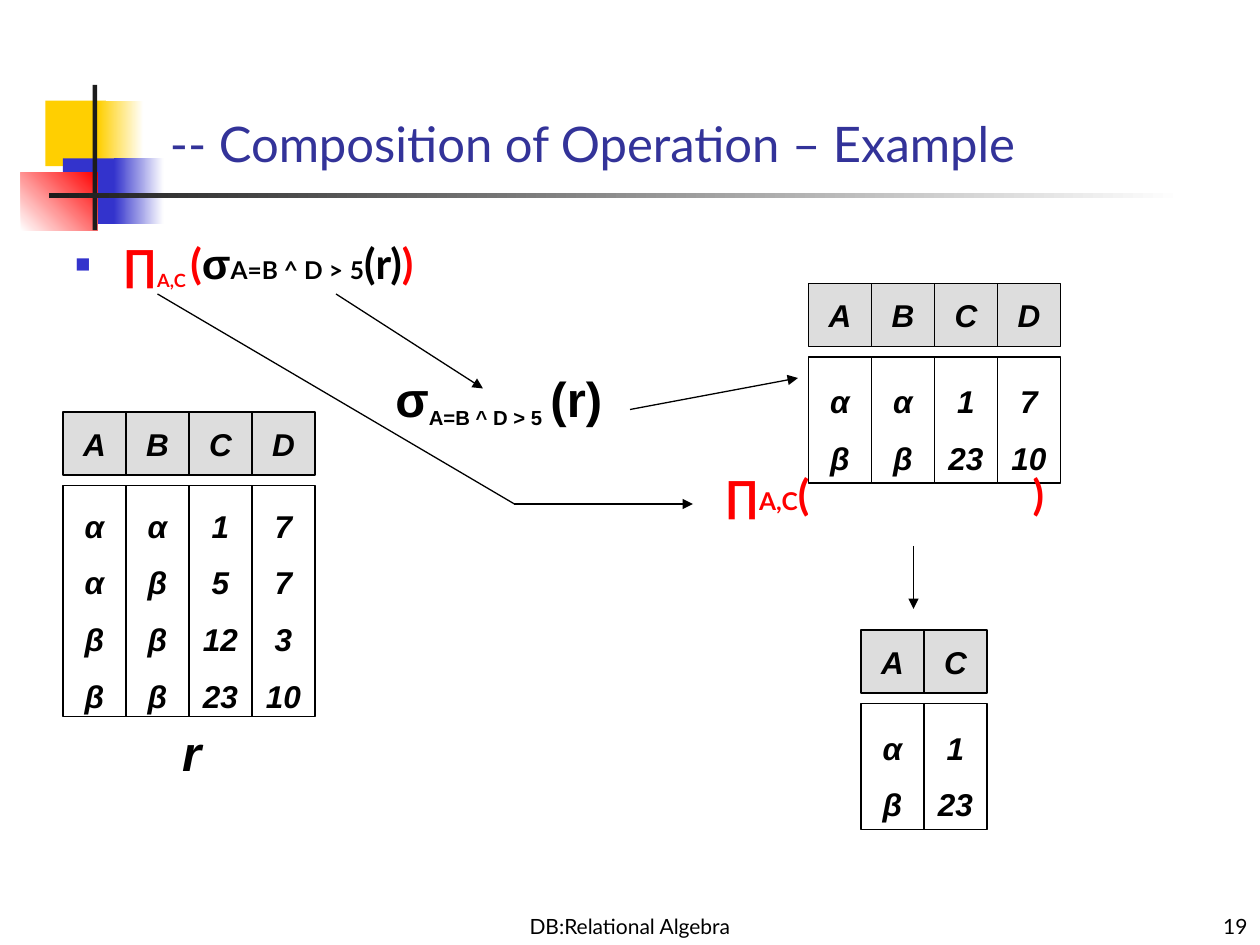
from lxml import etree
from pptx import Presentation
from pptx.dml.color import RGBColor
from pptx.enum import shapes, text
from pptx.oxml import ns
from pptx.util import Pt

BLACK, RED, BLUE, GOLD, DARK = "000000", "FF0000", "3333CC", "FFCF01", "1C1C1C"
WHITE, GREY = "FFFFFF", "DDDDDD"
LEFT, MID, RIGHT = text.PP_ALIGN.LEFT, text.PP_ALIGN.CENTER, text.PP_ALIGN.RIGHT
TOP, CENTER, BOTTOM = text.MSO_ANCHOR.TOP, text.MSO_ANCHOR.MIDDLE, text.MSO_ANCHOR.BOTTOM


def color(code):
    return RGBColor.from_string(code)


def points(*vals):
    return [Pt(val) for val in vals]


def node(parent, tag, **attrs):
    return etree.SubElement(parent, ns.qn(tag), attrs)


def style(font, size, face, tint, bold=False, slant=False):
    font.size, font.name, font.bold, font.italic = Pt(size), face, bold, slant
    font.color.rgb = color(tint)


def rect(slide, box, fill, end=None, angle=0, edge=False):
    shape = slide.shapes.add_shape(shapes.MSO_SHAPE.RECTANGLE, *points(*box))
    shape.shadow.inherit = False
    if end:
        shape.fill.gradient()
        shape.fill.gradient_angle = angle
        for stop, code, place in zip(shape.fill.gradient_stops, (fill, end), (0, 1)):
            stop.color.rgb, stop.position = color(code), place
    else:
        shape.fill.solid()
        shape.fill.fore_color.rgb = color(fill)
    if edge:
        shape.line.color.rgb, shape.line.width = color(BLACK), Pt(0.75)
    else:
        shape.line.fill.background()
    return shape


def label(slide, box, anchor, align, wrap=True):
    frame = slide.shapes.add_textbox(*points(*box)).text_frame
    frame.word_wrap, frame.vertical_anchor = wrap, anchor
    para = frame.paragraphs[0]
    para.alignment = align
    return para


def plain(slide, box, words, anchor, align, *font):
    para = label(slide, box, anchor, align)
    para.text = words
    style(para.font, *font)


def formula(para, parts):
    for words, size, face, tint, base in parts:
        run = para.add_run()
        run.text = words
        style(run.font, size, face, tint, True)
        if base:
            run.font._element.set("baseline", str(base * 1000))


def motif(slide, x, y):
    parts = [
        (14, 9, 34.5, 37.5, GOLD, None, 0),
        (44, 9, 26, 37.5, GOLD, WHITE, 0),
        (24, 42, 33, 37.5, BLUE, None, 0),
        (53, 42, 28.5, 37.5, BLUE, WHITE, 0),
        (0, 50, 44, 33.5, WHITE, RED, 45),
        (41, 0, 2.5, 83, DARK, None, 0),
        (16, 62, 648, 2.5, DARK, WHITE, 0),
    ]
    for dx, dy, wide, high, fill, end, angle in parts:
        rect(slide, (x + dx, y + dy, wide, high), fill, end, angle)


def cell(slide, box, fill, lines, gap):
    frame = rect(slide, box, fill, edge=True).text_frame
    frame.word_wrap, frame.vertical_anchor = False, CENTER
    for num, words in enumerate(lines):
        para = frame.add_paragraph() if num else frame.paragraphs[0]
        para.text, para.alignment, para.line_spacing = words, MID, gap
        style(para.font, 18, "Arial", BLACK, True, True)


def relation(slide, x, y, high, heads, rows):
    side = 36
    for num, (head, col) in enumerate(zip(heads, zip(*rows))):
        left = x + num * side
        cell(slide, (left, y, side, side), GREY, [head], 1.0)
        cell(slide, (left, y + side + 6, side, high), WHITE, col, 1.5)


def line(slide, ends, tip=True):
    link = slide.shapes.add_connector(shapes.MSO_CONNECTOR.STRAIGHT, *points(*ends))
    link.line.color.rgb, link.line.width = color(BLACK), Pt(0.75)
    if tip:
        node(link.line._get_or_add_ln(), "a:tailEnd", type="triangle")
    node(link._element.spPr, "a:effectLst")


def query(slide, box):
    para = label(slide, box, TOP, LEFT)
    props = para._p.get_or_add_pPr()
    props.set("marL", str(Pt(27)))
    props.set("indent", str(Pt(-27)))
    node(node(props, "a:buClr"), "a:srgbClr", val=BLUE)
    node(props, "a:buSzPct", val="60000")
    node(props, "a:buFont", typeface="Arial")
    node(props, "a:buChar", char="■")
    formula(para, [
        ("∏", 24, "Arial", RED, 0), ("A,C ", 18, "Lato", RED, -25),
        ("(", 24, "Lato", RED, 0), ("σ", 24, "Arial", BLACK, 0),
        ("A=B ^ D >", 14, "Lato", BLACK, 0), (" ", 16, "Lato", BLACK, 0),
        ("5", 14, "Lato", BLACK, 0), ("(r)", 24, "Lato", BLACK, 0),
        (")", 24, "Lato", RED, 0),
    ])


def select(slide, box):
    formula(label(slide, box, CENTER, MID, False), [
        ("σ", 28, "Arial", BLACK, 0), ("A=B ^ D > 5", 20, "Arial", BLACK, -25),
        (" ", 28, "Arial", BLACK, -25), ("(r)", 28, "Arial", BLACK, 0),
    ])


def project(slide, box):
    para = label(slide, box, TOP, LEFT)
    tabs = node(para._p.get_or_add_pPr(), "a:tabLst")
    node(tabs, "a:tab", pos=str(Pt(176)), algn="l")
    formula(para, [
        ("∏", 24, "Arial", RED, 0), ("A,C", 14, "Lato", RED, 0),
        ("(\t)", 24, "Lato", RED, 0),
    ])


def main():
    deck = Presentation()
    deck.slide_width, deck.slide_height = points(720, 540)
    slide = deck.slides.add_slide(deck.slide_layouts[6])
    motif(slide, 12, 48.5)
    plain(slide, (246, 510, 228, 30), "DB:Relational Algebra", BOTTOM, MID, 12, "Lato", BLACK)
    plain(slide, (570, 510, 150, 30), "19", BOTTOM, RIGHT, 12, "Lato", BLACK)
    plain(slide, (90, 54, 613, 48), "-- Composition of Operation – Example",
          BOTTOM, LEFT, 28, "Lato", "333399")
    plain(slide, (76, 409, 67, 41), "r", CENTER, MID, 28, "Arial", BLACK, True, True)
    relation(slide, 36, 235.5, 132, "ABCD",
             ["αα17", "αβ57", ("β", "β", "12", "3"), ("β", "β", "23", "10")])
    select(slide, (202, 207, 166, 45))
    relation(slide, 462, 162, 72, "ABCD", ["αα17", ("β", "β", "23", "10")])
    query(slide, (36, 132, 504, 46))
    relation(slide, 492, 360, 72, "AC", ["α1", ("β", "23")])
    project(slide, (407, 264, 212, 36))
    line(slide, (360, 234, 456, 216))
    line(slide, (522, 312, 522, 348))
    line(slide, (192, 168, 276, 222))
    line(slide, (90, 168, 294, 288), False)
    line(slide, (294, 288, 396, 288))
    deck.save("out.pptx")


if __name__ == "__main__":
    main()
